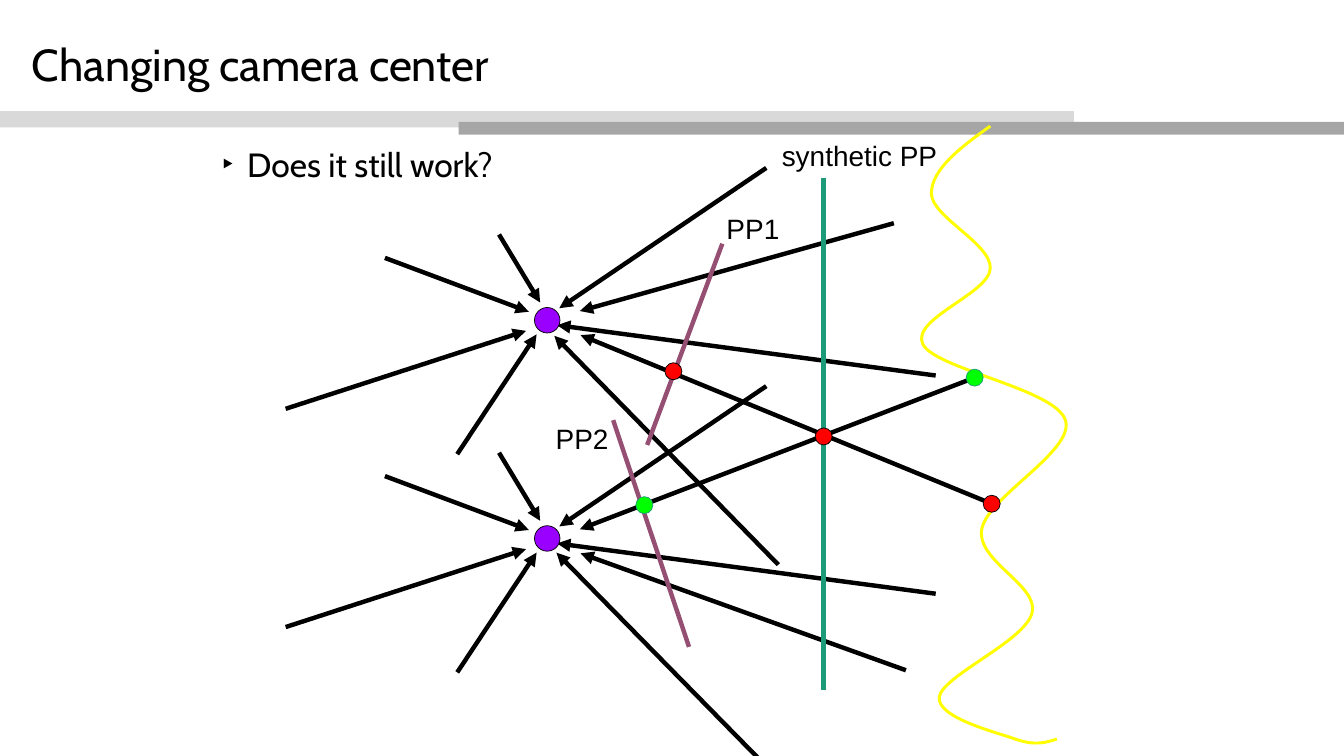
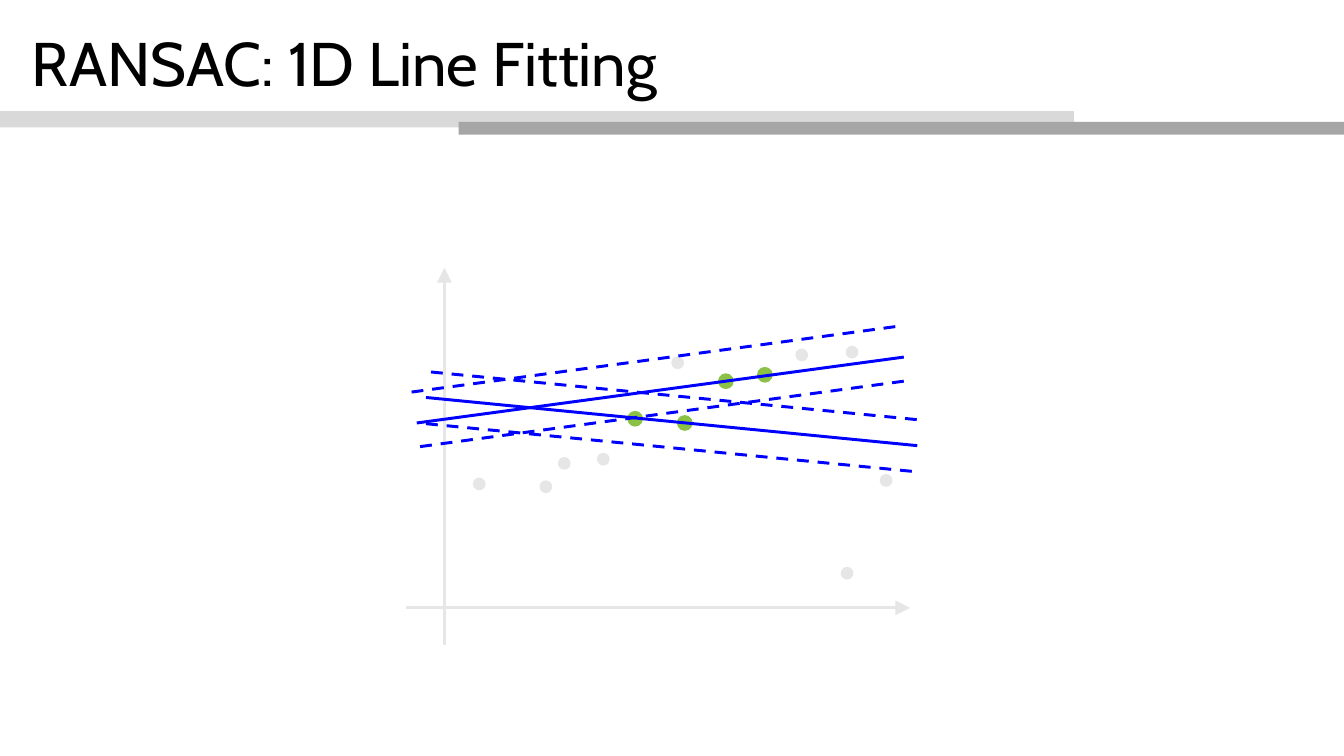
from dataclasses import dataclass
from typing import Any, NamedTuple

from lxml import etree
from pptx import Presentation
from pptx import util as u
from pptx.dml.color import RGBColor
from pptx.enum import dml, shapes, text
from pptx.oxml.ns import qn

PX = u.Inches(1) // 100


@dataclass(frozen=True)
class Theme:
    black: str = "000000"
    white: str = "FFFFFF"
    band_light: str = "D9D9D9"
    band_dark: str = "A6A6A6"
    camera: str = "9900FF"
    scene: str = "FFFF00"
    synthetic: str = "1D9A78"
    plane: str = "954F72"
    red: str = "FF0000"
    green: str = "00FF00"
    muted: str = "E7E6E6"
    inlier: str = "8BC145"
    model: str = "0000FF"
    heading_font: str = "Cabin"
    label_font: str = "Arial"
    title_size: float = 45.5
    large_title_size: float = 62.6
    body_size: float = 34.1
    label_size: float = 28.4
    thick: float = 4.5
    medium: float = 3
    thin: float = 0.75


THEME = Theme()


class Point(NamedTuple):
    x: int
    y: int

    def shift(self, dx: int, dy: int) -> "Point":
        return Point(self.x + dx, self.y + dy)


class Segment(NamedTuple):
    start: Point
    end: Point

    def shift(self, dx: int, dy: int) -> "Segment":
        return Segment(self.start.shift(dx, dy), self.end.shift(dx, dy))


class Box(NamedTuple):
    left: int
    top: int
    width: int
    height: int

    def emu(self) -> list[int]:
        return [value * PX for value in self]


@dataclass(frozen=True)
class Camera:
    drop: int
    own_rays: list[Segment]


@dataclass(frozen=True)
class Hypothesis:
    line: Segment
    margins: list[Point]
    inliers: list[Point]


@dataclass(frozen=True)
class Marker:
    corner: Point
    fill: str
    outline: str


@dataclass(frozen=True)
class Label:
    wording: str
    box: Box


def seg(x1: int, y1: int, x2: int, y2: int) -> Segment:
    return Segment(Point(x1, y1), Point(x2, y2))


SLIDE = Point(1896, 1067)
TITLE = Box(35, 22, 1823, 144)
BANDS = [(Box(0, 157, 1515, 23), THEME.band_light),
         (Box(647, 172, 1249, 18), THEME.band_dark)]

CAMERA_BOX = Box(754, 434, 36, 36)
SHARED_RAYS = [
    seg(762, 427, 704, 331), seg(746, 440, 543, 364), seg(786, 459, 1320, 530),
    seg(757, 472, 645, 641), seg(789, 435, 1081, 237), seg(742, 467, 403, 577),
]
CAMERAS = [
    Camera(0, [seg(818, 439, 1261, 315), seg(819, 473, 1399, 711),
               seg(782, 474, 1098, 797)]),
    Camera(308, [seg(818, 747, 1375, 533), seg(819, 781, 1278, 946),
                 seg(785, 780, 1101, 1102)]),
]
SCENE_START = Point(1397, 178)
SCENE_CURVES = [
    [Point(1355, 208), Point(1314, 239), Point(1314, 273)],
    [Point(1314, 306), Point(1399, 344), Point(1397, 379)],
    [Point(1395, 415), Point(1284, 450), Point(1302, 486)],
    [Point(1320, 521), Point(1489, 549), Point(1503, 593)],
    [Point(1517, 636), Point(1393, 701), Point(1385, 747)],
    [Point(1377, 792), Point(1466, 826), Point(1456, 865)],
    [Point(1446, 905), Point(1329, 954), Point(1325, 984)],
    [Point(1322, 1013), Point(1404, 1033), Point(1432, 1043)],
    [Point(1460, 1053), Point(1476, 1048), Point(1491, 1043)],
]
PLANES = [(seg(1162, 251, 1162, 974), THEME.synthetic),
          (seg(1019, 344, 913, 628), THEME.plane),
          (seg(865, 593, 972, 913), THEME.plane)]
LABELS = [Label("synthetic PP", Box(1093, 190, 242, 58)),
          Label("PP1", Box(1015, 294, 96, 58)),
          Label("PP2", Box(774, 590, 96, 58))]
MARKER_SIZE = 24
MARKERS = [
    Marker(Point(938, 512), THEME.red, THEME.black),
    Marker(Point(1387, 699), THEME.red, THEME.black),
    Marker(Point(1150, 604), THEME.red, THEME.black),
    Marker(Point(897, 701), THEME.green, THEME.synthetic),
    Marker(Point(1363, 521), THEME.green, THEME.synthetic),
]

PLOT = Box(415, 229, 1067, 693)
AXES = [seg(627, 378, 627, 911), seg(1284, 858, 573, 858)]
SAMPLE_SIZE = 18
SAMPLES = [Point(842, 639), Point(761, 678), Point(1186, 800), Point(957, 589),
           Point(888, 582), Point(1122, 492), Point(1241, 669), Point(667, 674),
           Point(1193, 488), Point(1016, 529), Point(947, 503), Point(787, 645),
           Point(1071, 520)]
HYPOTHESES = [
    Hypothesis(seg(601, 561, 1294, 629), [Point(0, 37), Point(7, -36)],
               [Point(887, 582), Point(957, 588)]),
    Hypothesis(seg(1275, 504, 588, 597), [Point(0, 34), Point(-12, -43)],
               [Point(1070, 520), Point(1015, 529)]),
]


def style_text(para: Any, font: str, size: float) -> None:
    for span in para.runs:
        span.font.name = font
        span.font.size = u.Pt(size)
        span.font.color.rgb = RGBColor.from_string(THEME.black)


def add_filled(page: Any, kind: Any, box: Box, fill: str,
               outline: str | None = None, width: float = THEME.thin) -> Any:
    shape = page.shapes.add_shape(kind, *box.emu())
    shape.shadow.inherit = False
    shape.fill.solid()
    shape.fill.fore_color.rgb = RGBColor.from_string(fill)
    if outline:
        shape.line.color.rgb = RGBColor.from_string(outline)
        shape.line.width = u.Pt(width)
    else:
        shape.line.fill.background()
    return shape


def add_dot(page: Any, corner: Point, size: int, fill: str,
            outline: str | None = None, width: float = THEME.thin) -> None:
    add_filled(page, shapes.MSO_SHAPE.OVAL, Box(*corner, size, size),
               fill, outline, width)


def add_line(page: Any, segment: Segment, color: str, width: float,
             arrow: str | None = None, dashed: bool = False) -> None:
    ends = [value * PX for point in segment for value in point]
    line = page.shapes.add_connector(shapes.MSO_CONNECTOR.STRAIGHT, *ends)
    line.line.color.rgb = RGBColor.from_string(color)
    line.line.width = u.Pt(width)
    if dashed:
        line.line.dash_style = dml.MSO_LINE.DASH
    properties = line.element.spPr
    if arrow:
        etree.SubElement(properties.find(qn("a:ln")), qn("a:headEnd"),
                         type="triangle", w=arrow, len=arrow)
    etree.SubElement(properties, qn("a:effectLst"))


def add_scene(page: Any) -> None:
    builder = page.shapes.build_freeform(*SCENE_START, scale=PX)
    builder.add_line_segments([point for curve in SCENE_CURVES for point in curve],
                              close=False)
    scene = builder.convert_to_shape()
    outline = next(scene.element.iter(qn("a:path")))
    steps = outline.findall(qn("a:lnTo"))
    for first in range(0, len(steps), 3):
        curve = etree.SubElement(outline, qn("a:cubicBezTo"))
        for step in steps[first:first + 3]:
            curve.append(step[0])
            outline.remove(step)
    scene.shadow.inherit = False
    scene.fill.background()
    scene.line.color.rgb = RGBColor.from_string(THEME.scene)
    scene.line.width = u.Pt(THEME.medium)


def add_label(page: Any, label: Label) -> None:
    box = page.shapes.add_textbox(*label.box.emu())
    box.text_frame.word_wrap = False
    box.text_frame.text = label.wording
    style_text(box.text_frame.paragraphs[0], THEME.label_font, THEME.label_size)


def add_bullet(page: Any, wording: str, place: Box) -> None:
    box = page.shapes.add_textbox(*place.emu())
    box.text_frame.word_wrap = True
    box.text_frame.text = wording
    para = box.text_frame.paragraphs[0]
    para.line_spacing = 0.9
    properties = para._p.get_or_add_pPr()
    properties.set("marL", str(36 * PX))
    properties.set("indent", str(-36 * PX))
    etree.SubElement(properties, qn("a:buFont"), typeface=THEME.label_font)
    etree.SubElement(properties, qn("a:buChar"), char="‣")
    style_text(para, THEME.heading_font, THEME.body_size)


def add_page(deck: Any, layout: Any, wording: str, size: float) -> Any:
    page = deck.slides.add_slide(layout)
    title = page.shapes.title
    title.left, title.top, title.width, title.height = TITLE.emu()
    frame = title.text_frame
    frame.text = wording
    frame.auto_size = text.MSO_AUTO_SIZE.NONE
    frame.vertical_anchor = text.MSO_ANCHOR.MIDDLE
    para = frame.paragraphs[0]
    para.alignment = text.PP_ALIGN.LEFT
    para.line_spacing = 0.9
    style_text(para, THEME.heading_font, size)
    return page


def move_bands_to_layout(page: Any, layout: Any) -> None:
    for holder in list(layout.placeholders):
        if holder.placeholder_format.idx != 0:
            layout.shapes.element.remove(holder.element)
    for box, color in BANDS:
        band = add_filled(page, shapes.MSO_SHAPE.RECTANGLE, box, color)
        band.element.nvSpPr.cNvPr.set("id", str(100 + box.top))
        layout.shapes.element.append(band.element)


def draw_camera_page(page: Any) -> None:
    add_bullet(page, "Does it still work?", Box(303, 205, 1280, 86))
    for camera in CAMERAS:
        for ray in [r.shift(0, camera.drop) for r in SHARED_RAYS] + camera.own_rays:
            add_line(page, ray, THEME.black, THEME.thick, arrow="med")
        corner = Point(CAMERA_BOX.left, CAMERA_BOX.top + camera.drop)
        add_dot(page, corner, CAMERA_BOX.width, THEME.camera, THEME.black)
    add_scene(page)
    for plane, color in PLANES:
        add_line(page, plane, color, THEME.thick)
    for label in LABELS:
        add_label(page, label)
    for marker in MARKERS:
        add_dot(page, marker.corner, MARKER_SIZE, marker.fill, marker.outline)


def draw_fitting_page(page: Any) -> None:
    add_filled(page, shapes.MSO_SHAPE.RECTANGLE, PLOT, THEME.white)
    for axis in AXES:
        add_line(page, axis, THEME.muted, THEME.medium, arrow="lg")
    for corner in SAMPLES:
        add_dot(page, corner, SAMPLE_SIZE, THEME.muted)
    for guess in HYPOTHESES:
        for corner in guess.inliers:
            add_dot(page, corner, SAMPLE_SIZE, THEME.inlier, THEME.inlier, THEME.medium)
        add_line(page, guess.line, THEME.model, THEME.medium)
        for offset in guess.margins:
            add_line(page, guess.line.shift(*offset), THEME.model, THEME.medium, dashed=True)


def main() -> None:
    deck = Presentation()
    deck.slide_width, deck.slide_height = SLIDE.x * PX, SLIDE.y * PX
    layout = deck.slide_layouts.get_by_name("Title Only")
    camera_page = add_page(deck, layout, "Changing camera center", THEME.title_size)
    move_bands_to_layout(camera_page, layout)
    draw_camera_page(camera_page)
    draw_fitting_page(add_page(deck, layout, "RANSAC: 1D Line Fitting",
                               THEME.large_title_size))
    deck.save("out.pptx")


if __name__ == "__main__":
    main()
